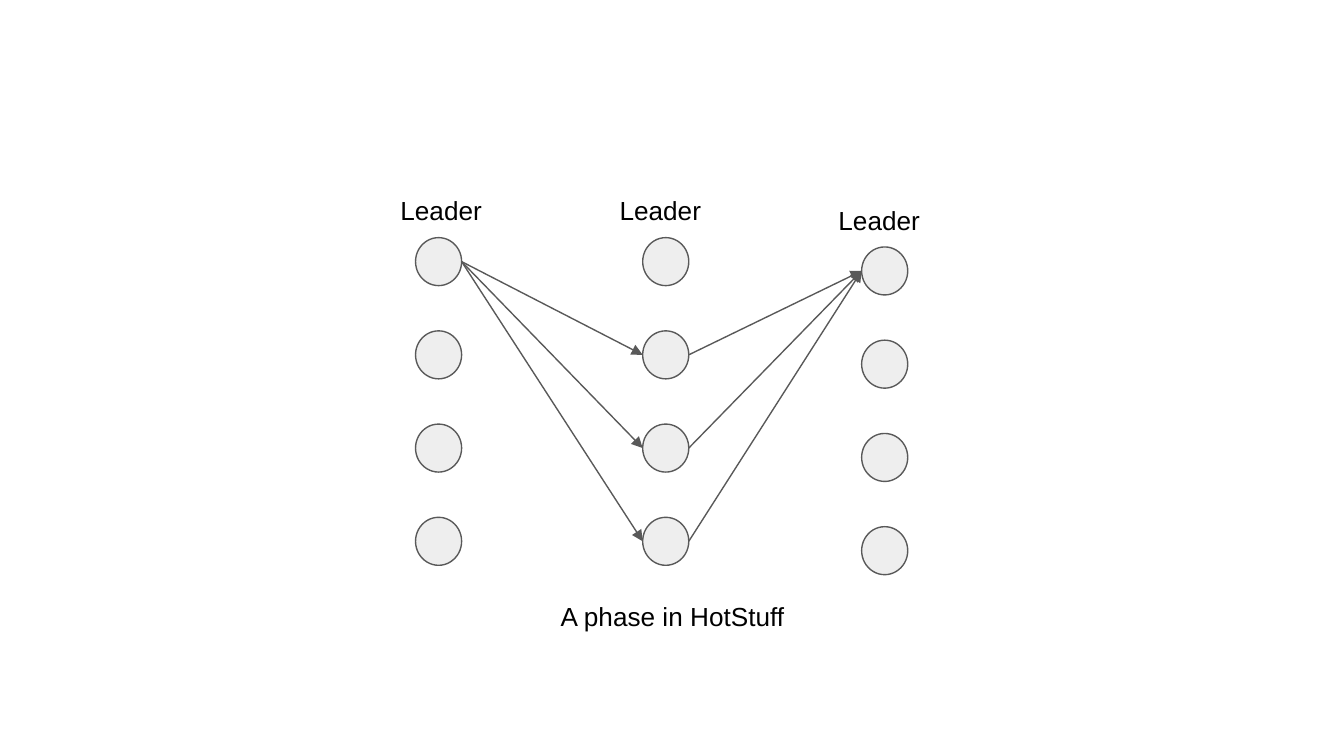
from dataclasses import dataclass

from lxml.etree import SubElement
from pptx import Presentation
from pptx.dml.color import RGBColor
from pptx.enum.shapes import MSO_CONNECTOR, MSO_SHAPE
from pptx.enum.text import MSO_ANCHOR, PP_ALIGN
from pptx.oxml.ns import qn
from pptx.util import Pt

COLUMNS = [
    {"label": "Leader", "left": 222.6, "top": 127.3, "label_left": 207.4},
    {"label": "Leader", "left": 344.3, "top": 127.3, "label_left": 324.8},
    {"label": "Leader", "left": 461.6, "top": 132.3, "label_left": 442.1},
]
MESSAGES = [((0, 0), (1, replica)) for replica in (1, 2, 3)]
MESSAGES += [((1, replica), (2, 0)) for replica in (1, 2, 3)]
CAPTION = "A phase in HotStuff"

NODES_PER_COLUMN = 4
NODE_WIDTH, NODE_HEIGHT, NODE_PITCH = 24.7, 25.7, 49.95
LABEL_RISE = 30.1


@dataclass(frozen=True)
class Theme:
    fill: RGBColor = RGBColor(0xEE, 0xEE, 0xEE)
    line: RGBColor = RGBColor(0x59, 0x59, 0x59)
    text: RGBColor = RGBColor(0, 0, 0)
    font: str = "Arial"
    text_size: float = 14
    line_width: float = 0.75
    inset: float = 7.2


THEME = Theme()


def add_text(slide, text, *, left, top, width, height, align=PP_ALIGN.LEFT):
    frame = slide.shapes.add_textbox(Pt(left), Pt(top), Pt(width), Pt(height)).text_frame
    frame.word_wrap = True
    frame.vertical_anchor = MSO_ANCHOR.TOP
    frame.margin_left = frame.margin_right = Pt(THEME.inset)
    frame.margin_top = frame.margin_bottom = Pt(THEME.inset)
    paragraph = frame.paragraphs[0]
    paragraph.alignment = align
    run = paragraph.add_run()
    run.text = text
    run.font.name = THEME.font
    run.font.size = Pt(THEME.text_size)
    run.font.color.rgb = THEME.text


def style_line(shape):
    shape.line.color.rgb = THEME.line
    shape.line.width = Pt(THEME.line_width)


def add_node(slide, column, row):
    shape = slide.shapes.add_shape(
        MSO_SHAPE.OVAL, Pt(column["left"]), Pt(column["top"] + row * NODE_PITCH),
        Pt(NODE_WIDTH), Pt(NODE_HEIGHT))
    shape.shadow.inherit = False
    shape.fill.solid()
    shape.fill.fore_color.rgb = THEME.fill
    style_line(shape)
    return shape


def add_arrow(slide, source, target):
    connector = slide.shapes.add_connector(
        MSO_CONNECTOR.STRAIGHT,
        source.left + source.width, source.top + source.height // 2,
        target.left, target.top + target.height // 2)
    style_line(connector)
    SubElement(connector.line._get_or_add_ln(), qn("a:tailEnd"), type="triangle")
    SubElement(connector._element.spPr, qn("a:effectLst"))


def main():
    """Build the slide showing one phase of HotStuff."""
    presentation = Presentation()
    presentation.slide_width, presentation.slide_height = Pt(720), Pt(405)
    slide = presentation.slides.add_slide(presentation.slide_layouts[6])
    nodes = [[add_node(slide, column, row) for row in range(NODES_PER_COLUMN)]
             for column in COLUMNS]
    for (source_column, source_row), (target_column, target_row) in MESSAGES:
        add_arrow(slide, nodes[source_column][source_row], nodes[target_column][target_row])
    for column in COLUMNS:
        add_text(slide, column["label"], left=column["label_left"],
                 top=column["top"] - LABEL_RISE, width=70.6, height=19.4)
    add_text(slide, CAPTION, left=202.3, top=314.6, width=316, height=55.4,
             align=PP_ALIGN.CENTER)
    presentation.save("out.pptx")


if __name__ == "__main__":
    main()
